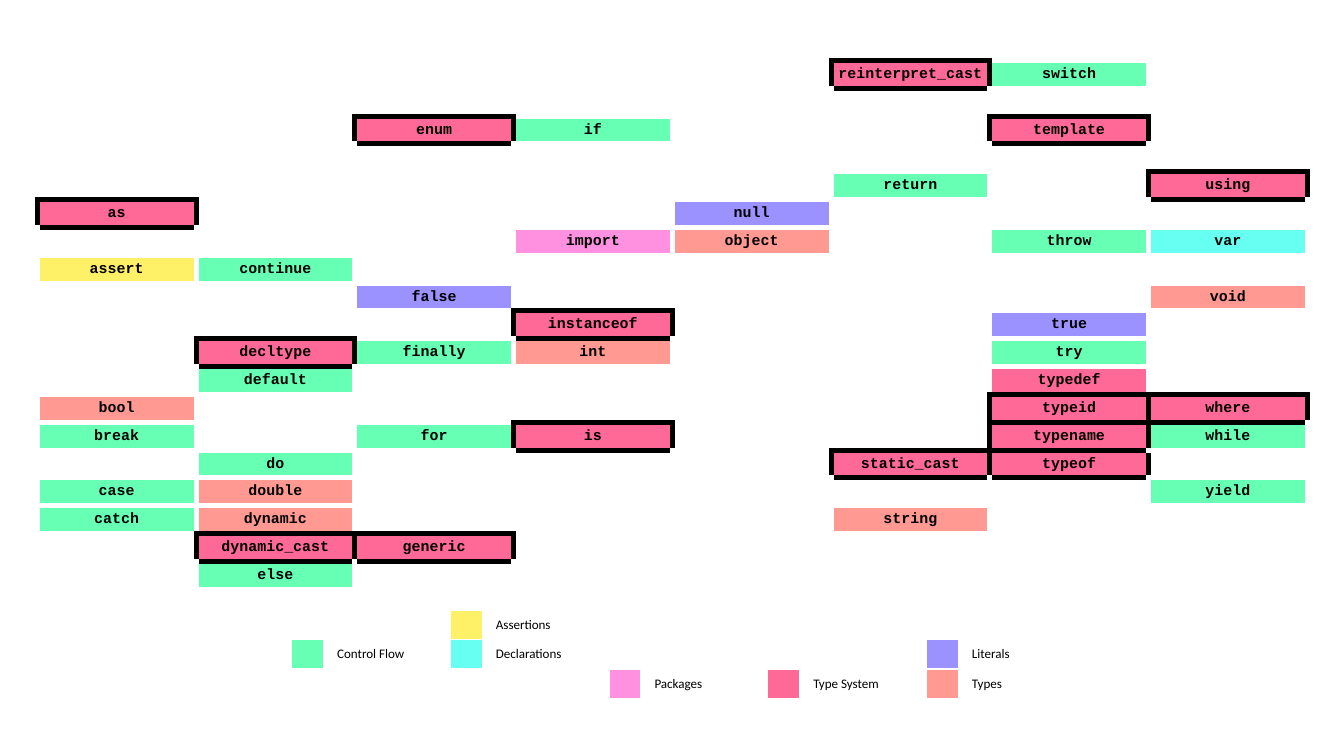
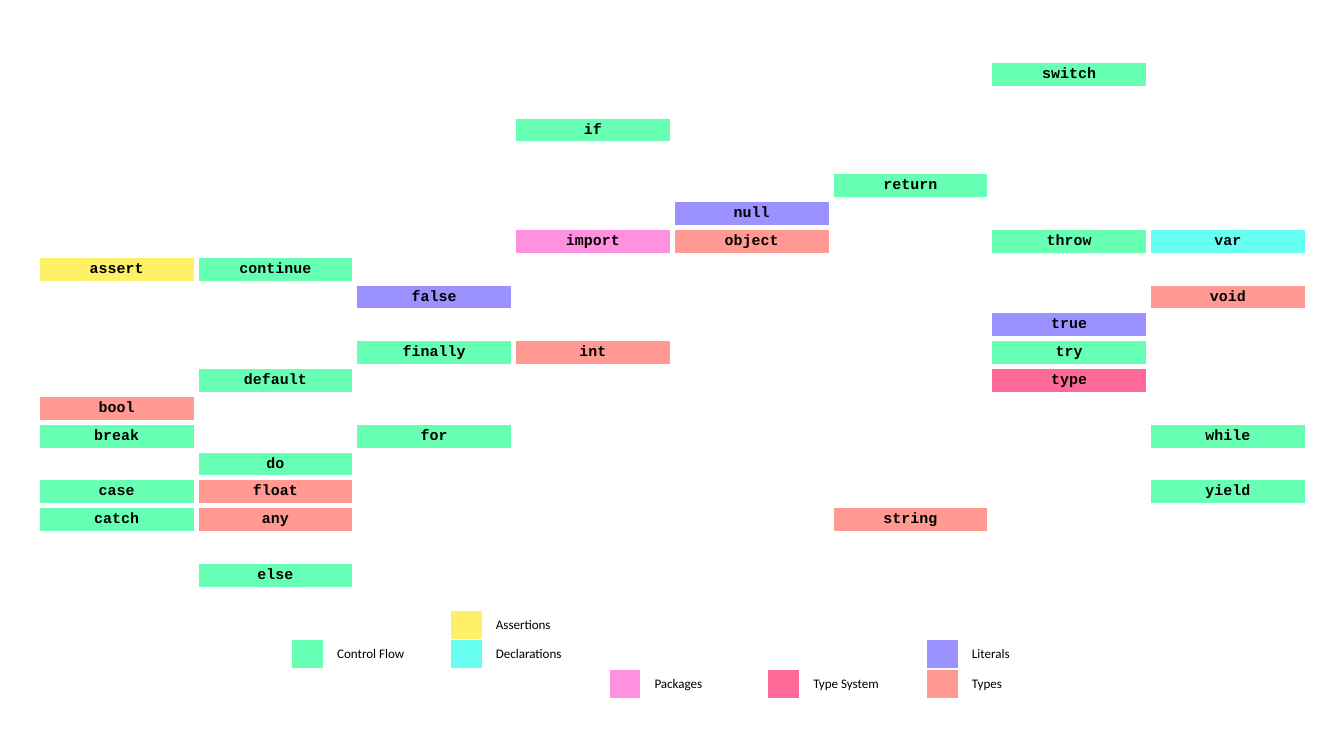
from dataclasses import dataclass

from lxml.etree import SubElement
from pptx import Presentation
from pptx.dml.color import RGBColor
from pptx.enum.text import MSO_ANCHOR as Anchor, PP_ALIGN as Align
from pptx.oxml.ns import qn
from pptx.util import Pt


@dataclass(frozen=True)
class Theme:
    ink: str = "000000"
    paper: str = "FFFFFF"
    code_font: str = "Courier New"
    code_size: int = 8
    label_font: str = "Calibri"
    label_size: int = 7
    grid_line: int = 3
    legend_line: int = 1


CATEGORY_COLORS = {
    "Assertions": "FFF167",
    "Control Flow": "67FFB3",
    "Declarations": "67FFF1",
    "Literals": "9B91FF",
    "Packages": "FF91E0",
    "Type System": "FF6997",
    "Types": "FF9991",
}

# Legend place of each category: row, swatch-and-label pair
LEGEND_PLACES = {
    "Assertions": (0, 1),
    "Control Flow": (1, 0),
    "Declarations": (1, 1),
    "Literals": (1, 4),
    "Packages": (2, 2),
    "Type System": (2, 3),
    "Types": (2, 4),
}

CATEGORY_WORDS = {
    "Assertions": "assert",
    "Control Flow": "break case catch continue default do else finally for if "
                    "return switch throw try while yield",
    "Declarations": "var",
    "Literals": "false null true",
    "Packages": "import",
    "Type System": "as decltype dynamic_cast enum generic instanceof is "
                   "reinterpret_cast static_cast template type typedef typeid "
                   "typename typeof using where",
    "Types": "any bool double dynamic float int object string void",
}
WORD_CATEGORY = {word: category for category, words in CATEGORY_WORDS.items()
                 for word in words.split()}

# A dot stands for an empty cell
KEYWORDS = [line.split() for line in (
    ". . . . . reinterpret_cast switch .",
    ". . . . . . . .",
    ". . enum if . . template .",
    ". . . . . . . .",
    ". . . . . return . using",
    "as . . . null . . .",
    ". . . import object . throw var",
    "assert continue . . . . . .",
    ". . false . . . . void",
    ". . . instanceof . . true .",
    ". decltype finally int . . try .",
    ". default . . . . typedef .",
    "bool . . . . . typeid where",
    "break . for is . . typename while",
    ". do . . . static_cast typeof .",
    "case double . . . . . yield",
    "catch dynamic . . . string . .",
    ". dynamic_cast generic . . . . .",
    ". else . . . . . .",
)]

OUTLINED = set(CATEGORY_WORDS["Type System"].split()) - {"type", "typedef"}
RENAMED = {"typedef": "type", "double": "float", "dynamic": "any"}

COLUMN = 85.05
SWATCH = 17.28
SIDES = {"L": (0, -1), "R": (0, 1), "T": (-1, 0), "B": (1, 0)}


class Deck:
    def __init__(self, theme):
        self.theme = theme
        self.presentation = Presentation()
        self.presentation.slide_width = Pt(720)
        self.presentation.slide_height = Pt(405)
        self.slide = None

    def add_slide(self):
        self.slide = self.presentation.slides.add_slide(self.presentation.slide_layouts[6])

    def table(self, left, top, widths, row_count, row_height):
        frame = self.slide.shapes.add_table(
            row_count, len(widths), Pt(left), Pt(top),
            Pt(sum(widths)), Pt(row_count * row_height))
        table = frame.table
        table.first_row = table.horz_banding = False
        for column, width in zip(table.columns, widths):
            column.width = Pt(width)
        for row in table.rows:
            row.height = Pt(row_height)
        return table

    def border(self, cell, side, color, width):
        line = SubElement(cell._tc.get_or_add_tcPr(), qn(f"a:ln{side}"), w=str(Pt(width)))
        SubElement(SubElement(line, qn("a:solidFill")), qn("a:srgbClr"), val=color)

    def fill(self, cell, color):
        if color:
            cell.fill.solid()
            cell.fill.fore_color.rgb = RGBColor.from_string(color)
        else:
            cell.fill.background()

    def text(self, cell, text, font, size, bold=False, align=Align.LEFT):
        paragraph = cell.text_frame.paragraphs[0]
        paragraph.alignment = align
        paragraph.font.name = font
        paragraph.font.size = Pt(size)
        paragraph.font.bold = bold
        paragraph.font.color.rgb = RGBColor.from_string(self.theme.ink)
        if text:
            paragraph.add_run().text = text
        else:  # an empty cell takes its line height from the end mark
            SubElement(paragraph._p, qn("a:endParaRPr"), sz=str(size * 100))

    def keyword_grid(self, words):
        theme = self.theme
        columns = len(words[0])
        table = self.table(20, 32.4, [COLUMN] * columns, len(words), 14.93)

        def outlined(row, column):
            return (0 <= row < len(words) and 0 <= column < columns
                    and words[row][column] in OUTLINED)

        for row, line in enumerate(words):
            for column, word in enumerate(line):
                cell = table.cell(row, column)
                cell.margin_left = cell.margin_right = Pt(0)
                cell.margin_top = cell.margin_bottom = Pt(0)
                cell.vertical_anchor = Anchor.MIDDLE
                for side, (down, across) in SIDES.items():
                    dark = outlined(row, column) or outlined(row + down, column + across)
                    self.border(cell, side, theme.ink if dark else theme.paper, theme.grid_line)
                self.fill(cell, CATEGORY_COLORS.get(WORD_CATEGORY.get(word)))
                self.text(cell, word.strip("."), theme.code_font, theme.code_size,
                          bold=True, align=Align.CENTER)

    def legend(self):
        theme = self.theme
        table = self.table(156.2, 326.9, [SWATCH, COLUMN - SWATCH] * 5, 3, 15.6)
        category_at = {place: category for category, place in LEGEND_PLACES.items()}
        for row in range(3):
            for column in range(10):
                cell = table.cell(row, column)
                category = category_at.get((row, column // 2), "")
                is_label = column % 2 == 1
                for side in SIDES:
                    self.border(cell, side, theme.paper, theme.legend_line)
                self.fill(cell, None if is_label else CATEGORY_COLORS.get(category))
                self.text(cell, category if is_label else "",
                          theme.label_font, theme.label_size)


def main():
    deck = Deck(Theme())
    simplified = [["." if word in OUTLINED else RENAMED.get(word, word) for word in line]
                  for line in KEYWORDS]
    for words in (KEYWORDS, simplified):
        deck.add_slide()
        deck.keyword_grid(words)
        deck.legend()
    deck.presentation.save("out.pptx")


if __name__ == "__main__":
    main()
